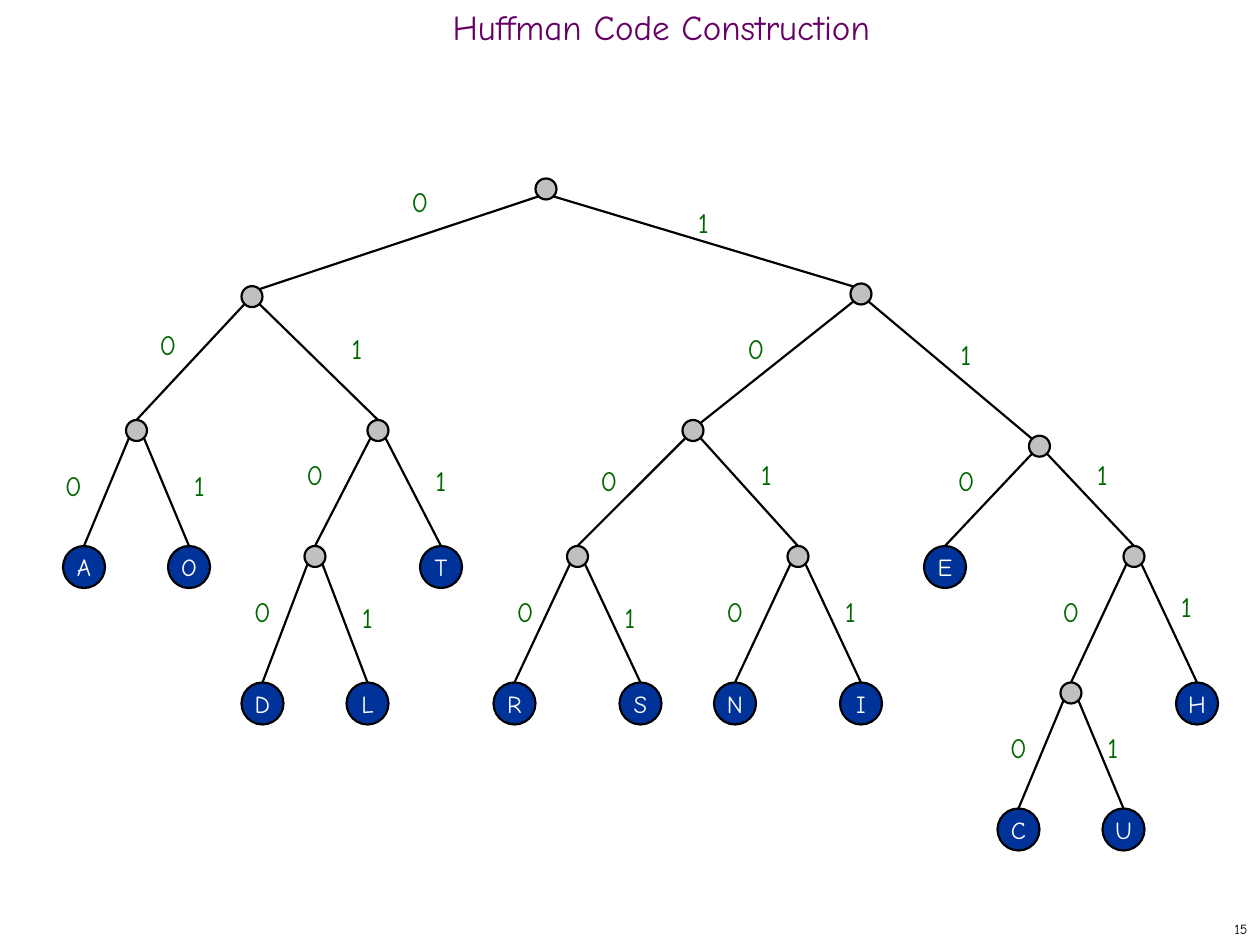
import math

import pptx
import pptx.dml.color
import pptx.enum.shapes
import pptx.enum.text
import pptx.oxml
import pptx.util

Cm, Pt = pptx.util.Cm, pptx.util.Pt
ALIGN = pptx.enum.text.PP_ALIGN
MIDDLE = pptx.enum.text.MSO_ANCHOR.MIDDLE

GRID = 2.54 / 12  # one grid step in cm
INNER, LEAF = 2, 4  # node diameters in grid steps

# Huffman code: (centre x, top, letter, centre x and top of the bit label)
TREE = {
    "": (52, 17, "", None),
    "0": (24, 27.25, "", (40, 17)),
    "1": (82, 27, "", (67, 19)),
    "00": (13, 40, "", (16, 30.6)),
    "01": (36, 40, "", (34, 31)),
    "10": (66, 40, "", (72, 31)),
    "11": (99, 41.5, "", (92, 31.6)),
    "000": (8, 52, "A", (7, 44)),
    "001": (18, 52, "O", (19, 44)),
    "010": (30, 52, "", (30, 43)),
    "011": (42, 52, "T", (42, 43.6)),
    "100": (55, 52, "", (58, 43.6)),
    "101": (76, 52, "", (73, 43)),
    "110": (90, 52, "E", (92, 43.6)),
    "111": (108, 52, "", (105, 43)),
    "0100": (25, 65, "D", (25, 56)),
    "0101": (35, 65, "L", (35, 56.6)),
    "1000": (49, 65, "R", (50, 56)),
    "1001": (61, 65, "S", (60, 56.6)),
    "1010": (70, 65, "N", (70, 56)),
    "1011": (82, 65, "I", (81, 56)),
    "1110": (102, 65, "", (102, 56)),
    "1111": (114, 65, "H", (113, 55.6)),
    "11100": (97, 77, "C", (97, 69)),
    "11101": (107, 77, "U", (106, 69)),
}


def rgb(value):
    return pptx.dml.color.RGBColor.from_string(value)


def steps(*values):
    return [Cm(value * GRID) for value in values]


class TreeSlide:
    font = "Comic Neue"
    line, line_width = "000000", Pt(1.25)
    inner_fill, leaf_fill = "C0C0C0", "003399"
    title_color, bit_color, letter_color = "660066", "006600", "FFFFFF"

    def __init__(self, slide):
        self.slide = slide

    def add_text(self, frame, text, size, color, align):
        paragraph = frame.paragraphs[0]
        paragraph.alignment = align
        run = paragraph.add_run()
        run.text = text
        run.font.name = self.font
        run.font.size = Pt(size)
        run.font.color.rgb = rgb(color)
        return paragraph

    def title(self, text):
        heading = self.slide.shapes.title
        heading.left, heading.top, heading.width, heading.height = steps(3, 0, 120, 6)
        frame = heading.text_frame
        frame.vertical_anchor = MIDDLE
        frame.auto_size = pptx.enum.text.MSO_AUTO_SIZE.NONE
        self.add_text(frame, text, 20, self.title_color, ALIGN.CENTER).line_spacing = 0.7

    def page_number(self, text):
        frame = self.slide.shapes.add_textbox(*steps(95, 87, 25, 3)).text_frame
        frame.word_wrap = False
        frame.vertical_anchor = MIDDLE
        self.add_text(frame, text, 8, self.line, ALIGN.RIGHT)

    def node(self, center, top, letter):
        size = LEAF if letter else INNER
        circle = self.slide.shapes.add_shape(
            pptx.enum.shapes.MSO_SHAPE.OVAL, *steps(center - size / 2, top, size, size))
        circle.shadow.inherit = False
        circle.fill.solid()
        circle.fill.fore_color.rgb = rgb(self.leaf_fill if letter else self.inner_fill)
        circle.line.color.rgb = rgb(self.line)
        circle.line.width = self.line_width
        if letter:
            frame = circle.text_frame
            frame.word_wrap = False
            frame.vertical_anchor = MIDDLE
            self.add_text(frame, letter, 14, self.letter_color, ALIGN.CENTER)
        return circle

    def edge(self, parent, child, child_circle):
        (x1, y1), (x2, y2) = parent, child
        side = 1 if x2 > x1 else -1
        radius = INNER / 2
        diagonal = radius * math.sqrt(0.5)
        flat = abs(x2 - x1) > y2 - y1
        start = (x1 + side * diagonal, y1 + radius + diagonal)
        # A flat edge meets the child's upper corner, a steep one its top
        end = (x2 - side * diagonal, y2 + radius - diagonal) if flat else child
        branch = self.slide.shapes.add_connector(
            pptx.enum.shapes.MSO_CONNECTOR.STRAIGHT, *steps(*start, *end))
        branch.line.color.rgb = rgb(self.line)
        branch.line.width = self.line_width
        properties = branch._element.spPr
        properties.append(properties.makeelement(pptx.oxml.ns.qn("a:effectLst"), {}))
        if not flat:
            branch.end_connect(child_circle, 0)

    def bit(self, text, center, top):
        frame = self.slide.shapes.add_textbox(*steps(center - 4, top, 8, 4.4)).text_frame
        frame.word_wrap = True
        label = self.add_text(frame, text, 16, self.bit_color, ALIGN.CENTER)
        label.space_before = Pt(10)


def main():
    deck = pptx.Presentation()
    deck.slide_width, deck.slide_height = Cm(25.4), Cm(19.05)
    huffman = TreeSlide(deck.slides.add_slide(deck.slide_layouts[5]))

    # Heading and page number
    huffman.title("Huffman Code Construction")
    huffman.page_number("15")

    # Nodes, each with the edge from its parent and the bit on that edge
    for code, (center, top, letter, bit_place) in TREE.items():
        circle = huffman.node(center, top, letter)
        if code:
            huffman.edge(TREE[code[:-1]][:2], (center, top), circle)
            huffman.bit(code[-1], *bit_place)

    deck.save("out.pptx")


if __name__ == "__main__":
    main()
